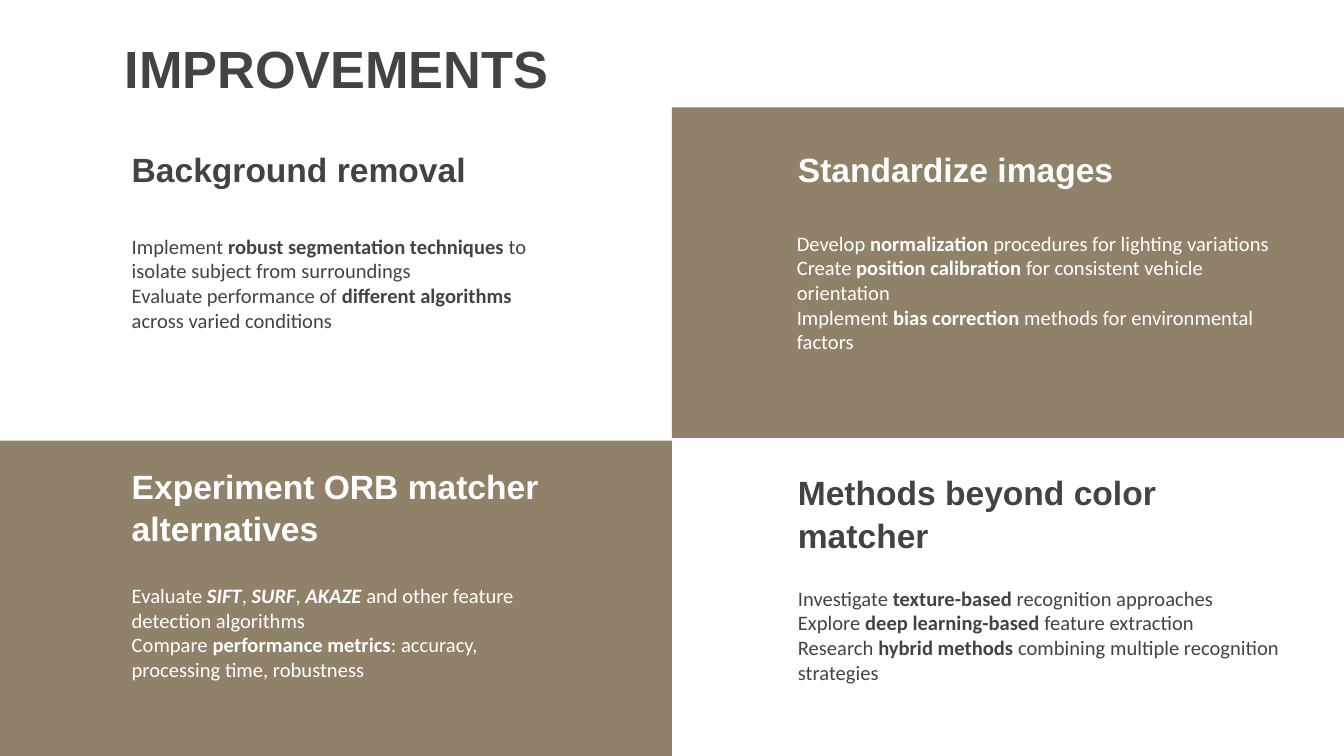
from typing import NamedTuple

from pptx import Presentation
from pptx.dml.color import RGBColor
from pptx.enum.shapes import MSO_SHAPE as Preset
from pptx.enum.text import MSO_ANCHOR as Anchor
from pptx.util import Cm, Pt

COLORS = {"white": "FFFFFF", "olive": "908269", "dark": "434343"}
SLIDE_WIDTH, SLIDE_HEIGHT = 25.4, 14.29
HALF_WIDTH = SLIDE_WIDTH / 2


class Box(NamedTuple):
    left: float
    top: float
    width: float
    height: float


class Span(NamedTuple):
    text: str
    bold: bool = False
    italic: bool = False


class Panel(NamedTuple):
    box: Box
    fill: str


class Topic(NamedTuple):
    heading: str
    heading_box: Box
    body_box: Box
    color: str
    lines: list[list[Span]]


def plain(text: str) -> Span:
    return Span(text)


def bold(text: str) -> Span:
    return Span(text, bold=True)


def name(text: str) -> Span:
    """Style an algorithm's name in bold italics."""
    return Span(text, bold=True, italic=True)


PANELS = [
    Panel(Box(0, 2.08, HALF_WIDTH, 6.25), "white"),
    Panel(Box(HALF_WIDTH, 2.03, HALF_WIDTH, 6.25), "olive"),
    Panel(Box(0, 8.33, HALF_WIDTH, SLIDE_HEIGHT - 8.33), "olive"),
]

TOPICS = [
    Topic(
        "Background removal",
        Box(2.24, 2.84, 10.11, 0.99), Box(2.24, 4.17, 8.74, 2.16), "dark",
        [
            [plain("Implement "), bold("robust segmentation techniques"),
             plain(" to isolate subject from surroundings")],
            [plain("Evaluate performance of "), bold("different algorithms"),
             plain(" across varied conditions")],
        ],
    ),
    Topic(
        "Standardize images",
        Box(14.83, 2.84, 9.5, 0.99), Box(14.81, 4.11, 9.68, 2.69), "white",
        [
            [plain("Develop "), bold("normalization"),
             plain(" procedures for lighting variations")],
            [plain("Create "), bold("position calibration"),
             plain(" for consistent vehicle orientation")],
            [plain("Implement "), bold("bias correction"),
             plain(" methods for environmental factors")],
        ],
    ),
    Topic(
        "Experiment ORB matcher alternatives",
        Box(2.24, 8.84, 10.11, 1.78), Box(2.24, 10.77, 8.74, 2.24), "white",
        [
            [plain("Evaluate "), name("SIFT"), plain(", "), name("SURF"), plain(", "),
             name("AKAZE"), plain(" and other feature detection algorithms")],
            [plain("Compare "), bold("performance metrics"),
             plain(": accuracy, processing time, robustness")],
        ],
    ),
    Topic(
        "Methods beyond color matcher",
        Box(14.83, 8.84, 9.09, 1.9), Box(14.83, 10.82, 9.68, 1.78), "dark",
        [
            [plain("Investigate "), bold("texture-based"),
             plain(" recognition approaches")],
            [plain("Explore "), bold("deep learning-based"),
             plain(" feature extraction")],
            [plain("Research "), bold("hybrid methods"),
             plain(" combining multiple recognition strategies")],
        ],
    ),
]


def add_panel(slide, panel: Panel) -> None:
    shape = slide.shapes.add_shape(Preset.RECTANGLE, *map(Cm, panel.box))
    shape.shadow.inherit = False
    shape.fill.solid()
    shape.fill.fore_color.rgb = RGBColor.from_string(COLORS[panel.fill])
    shape.line.fill.background()


def add_text(slide, box: Box, lines: list[list[Span]], *, size: float, color: str,
             font: str = "Calibri", anchor: Anchor = Anchor.TOP,
             line_spacing: float = 1.0) -> None:
    frame = slide.shapes.add_textbox(*map(Cm, box)).text_frame
    frame.word_wrap = True
    frame.vertical_anchor = anchor
    frame.margin_left = frame.margin_right = Cm(0.25)
    frame.margin_top = frame.margin_bottom = Cm(0.25)
    for index, spans in enumerate(lines):
        paragraph = frame.add_paragraph() if index else frame.paragraphs[0]
        paragraph.line_spacing = line_spacing
        for span in spans:
            run = paragraph.add_run()
            run.text = span.text
            run.font.name = font
            run.font.size = Pt(size)
            run.font.bold = span.bold
            run.font.italic = span.italic
            run.font.color.rgb = RGBColor.from_string(COLORS[color])


def add_topic(slide, topic: Topic) -> None:
    add_text(slide, topic.heading_box, [[bold(topic.heading)]], size=18,
             color=topic.color, font="Arial", anchor=Anchor.BOTTOM, line_spacing=1.05)
    add_text(slide, topic.body_box, topic.lines, size=11, color=topic.color)


def main() -> None:
    presentation = Presentation()
    presentation.slide_width = Cm(SLIDE_WIDTH)
    presentation.slide_height = Cm(SLIDE_HEIGHT)
    slide = presentation.slides.add_slide(presentation.slide_layouts[6])
    for panel in PANELS:
        add_panel(slide, panel)
    for topic in TOPICS:
        add_topic(slide, topic)
    add_text(slide, Box(2.11, 0.43, 9.09, 1.7), [[bold("IMPROVEMENTS")]],
             size=28, color="dark", font="Arial")
    presentation.save("out.pptx")


if __name__ == "__main__":
    main()
